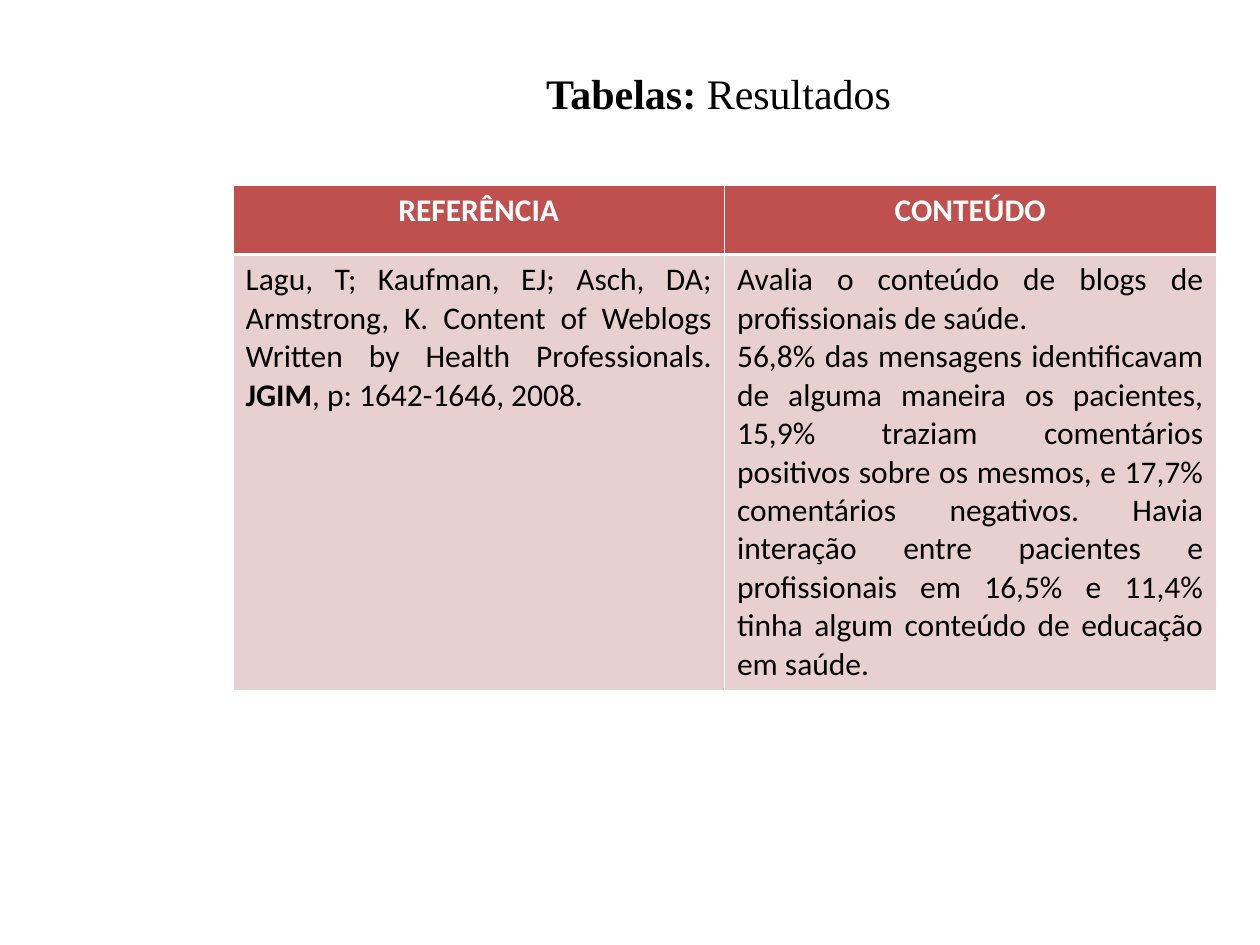
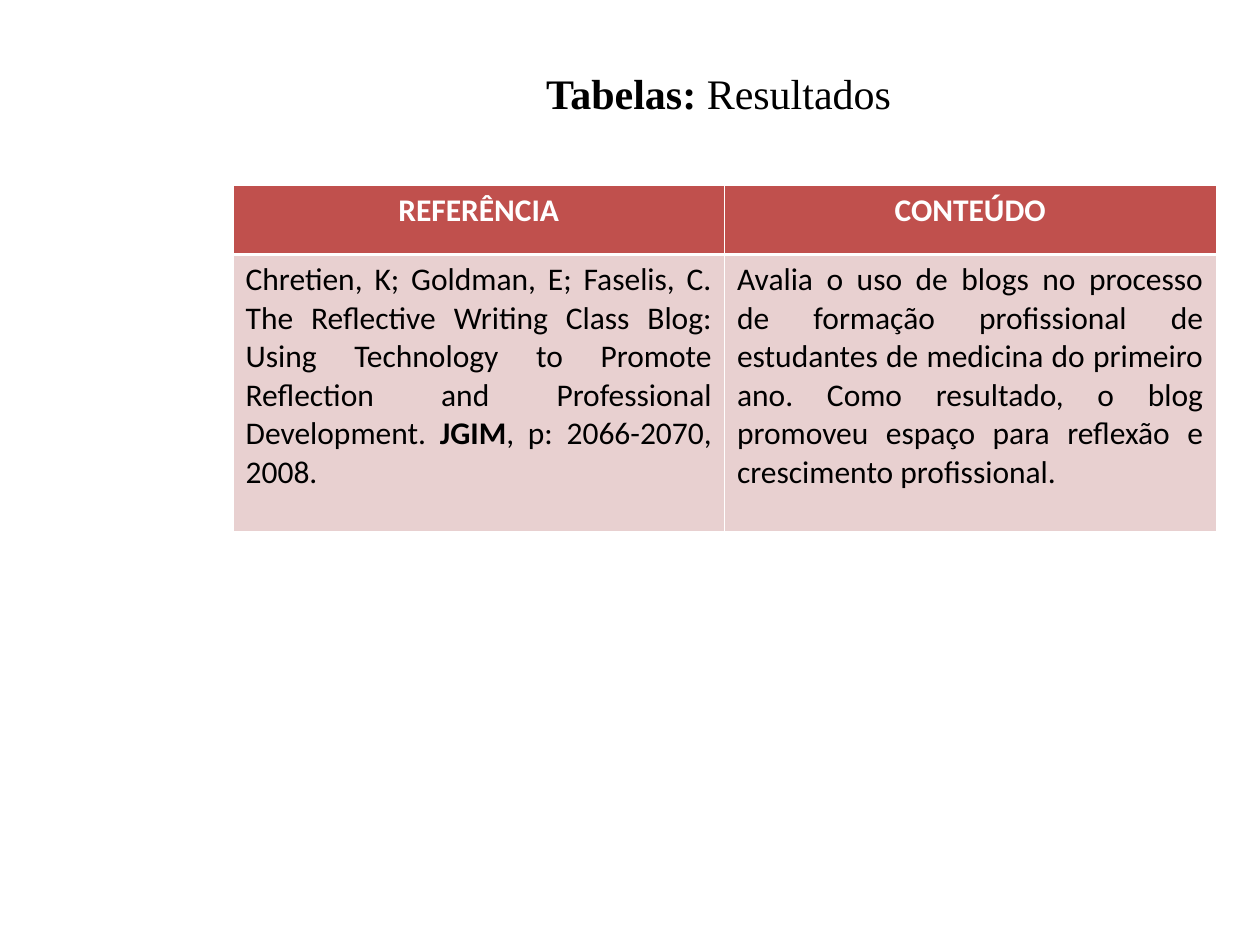
from lxml.etree import SubElement
from pptx import Presentation
from pptx.dml.color import RGBColor
from pptx.enum.text import MSO_AUTO_SIZE, PP_ALIGN
from pptx.oxml.ns import qn
from pptx.util import Pt

# A paragraph is a list of (wording, bold) spans.
TITLE = [("Tabelas:", True), (" Resultados ", False)]
HEADINGS = ["REFERÊNCIA", "CONTEÚDO"]
RESULTS = [
    {
        "reference": [[
            ("Lagu, T; Kaufman, EJ; Asch, DA; Armstrong, K. Content of Weblogs "
             "Written by Health Professionals. ", False),
            ("JGIM", True),
            (", p: 1642-1646, 2008.", False),
        ]],
        "content": [
            [("Avalia o conteúdo de blogs de profissionais de saúde. ", False)],
            [("56,8% das mensagens identificavam de alguma maneira os pacientes, "
              "15,9% traziam comentários positivos sobre os mesmos, e 17,7% "
              "comentários negativos. Havia interação entre pacientes e "
              "profissionais em 16,5% e 11,4% tinha algum conteúdo de educação "
              "em saúde.", False)],
        ],
        "height": 244.8,
    },
    {
        "reference": [[
            ("Chretien, K; Goldman, E; Faselis, C. The Reflective Writing Class "
             "Blog: Using Technology to Promote Reflection and Professional "
             "Development. ", False),
            ("JGIM", True),
            (", p: 2066-2070, 2008.", False),
        ]],
        "content": [
            [("Avalia o uso de blogs no processo de formação profissional de "
              "estudantes de medicina do primeiro ano. Como resultado, o blog "
              "promoveu espaço para reflexão e crescimento profissional.", False)],
        ],
        "height": 158.4,
    },
]

BLACK = RGBColor(0x00, 0x00, 0x00)
WHITE = RGBColor(0xFF, 0xFF, 0xFF)
RED = RGBColor(0xC0, 0x50, 0x4D)
PINK = RGBColor(0xE8, 0xD0, 0xD0)
TITLE_FONT, TABLE_FONT = "Times New Roman", "Calibri"

TABLE_LEFT, TABLE_TOP = 133.2, 105.84
COLUMN_WIDTH, HEADING_HEIGHT = 280.8, 39.6
THIN, THICK = 0.45, 1.47


def write(frame, paragraphs, font_name, size, color, alignment):
    for index, spans in enumerate(paragraphs):
        para = frame.add_paragraph() if index else frame.paragraphs[0]
        para.alignment = alignment
        para.font.name = font_name
        para.font.size = Pt(size)
        para.font.color.rgb = color
        for wording, bold in spans:
            span = para.add_run()
            span.text = wording
            span.font.bold = bold


def set_borders(cell, top, bottom):
    properties = cell._tc.get_or_add_tcPr()
    for side, width in (("L", THIN), ("R", THIN), ("T", top), ("B", bottom)):
        line = SubElement(properties, qn(f"a:ln{side}"), w=str(Pt(width)))
        fill = SubElement(line, qn("a:solidFill"))
        SubElement(fill, qn("a:srgbClr"), val=str(WHITE))


def fill_cell(cell, paragraphs, heading):
    set_borders(cell, *((THIN, THICK) if heading else (THICK, THIN)))
    cell.fill.solid()
    cell.fill.fore_color.rgb = RED if heading else PINK
    write(cell.text_frame, paragraphs, TABLE_FONT, 18,
          WHITE if heading else BLACK,
          PP_ALIGN.CENTER if heading else PP_ALIGN.JUSTIFY)


def add_title(page):
    box = page.shapes.add_textbox(Pt(127.44), Pt(35.28), Pt(572.4), Pt(36))
    frame = box.text_frame
    frame.word_wrap = True
    frame.auto_size = MSO_AUTO_SIZE.SHAPE_TO_FIT_TEXT
    write(frame, [TITLE], TITLE_FONT, 24, BLACK, PP_ALIGN.CENTER)


def add_result_table(page, result):
    heights = [HEADING_HEIGHT, result["height"]]
    table = page.shapes.add_table(
        len(heights), len(HEADINGS), Pt(TABLE_LEFT), Pt(TABLE_TOP),
        Pt(COLUMN_WIDTH * len(HEADINGS)), Pt(sum(heights))).table
    for row, height in zip(table.rows, heights):
        row.height = Pt(height)
    bodies = [result["reference"], result["content"]]
    for column, (heading, body) in enumerate(zip(HEADINGS, bodies)):
        fill_cell(table.cell(0, column), [[(heading, True)]], True)
        fill_cell(table.cell(1, column), body, False)


def main():
    deck = Presentation()
    deck.slide_width, deck.slide_height = Pt(720), Pt(540)
    for result in RESULTS:
        page = deck.slides.add_slide(deck.slide_layouts[6])
        add_result_table(page, result)
        add_title(page)
    deck.save("out.pptx")


if __name__ == "__main__":
    main()
